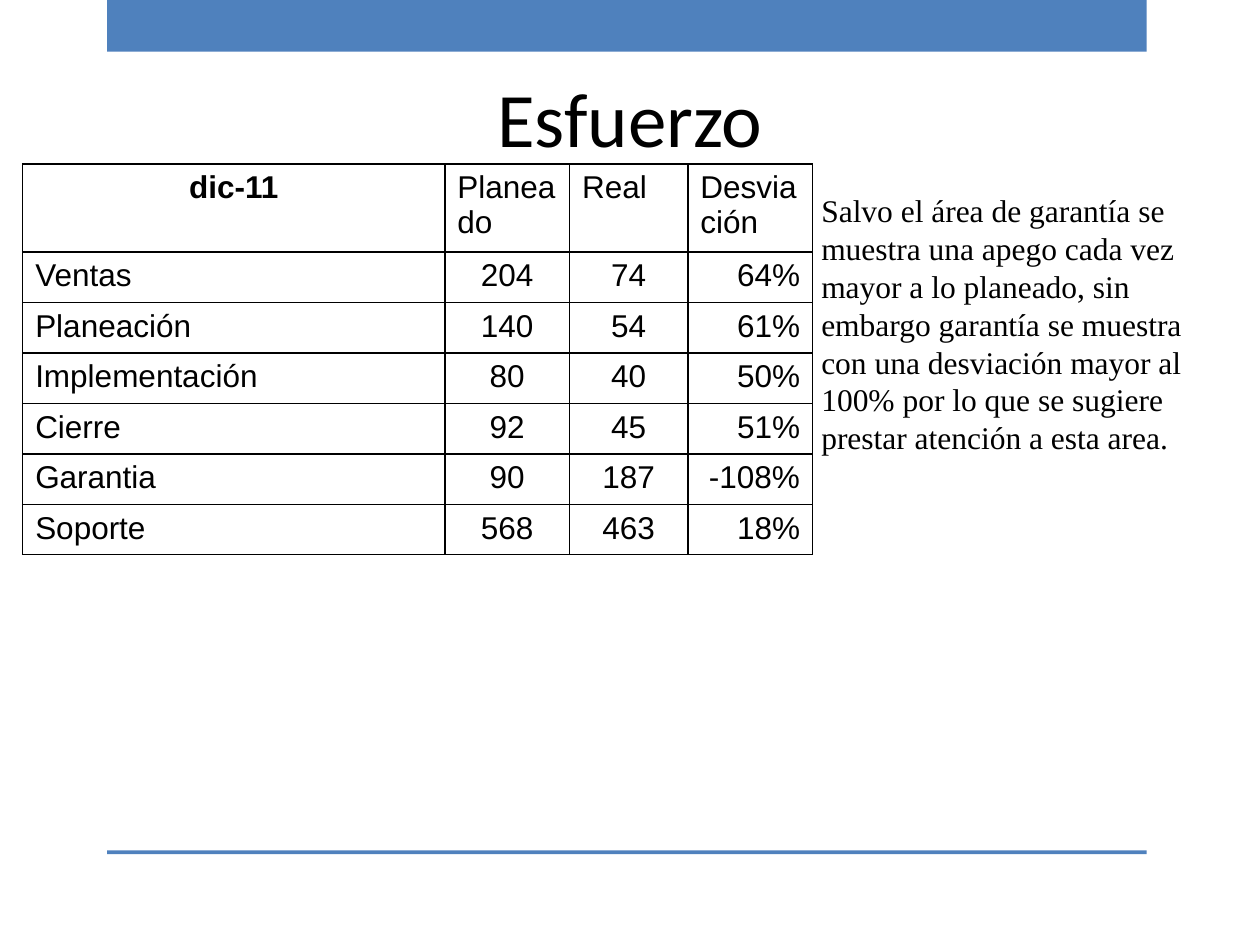
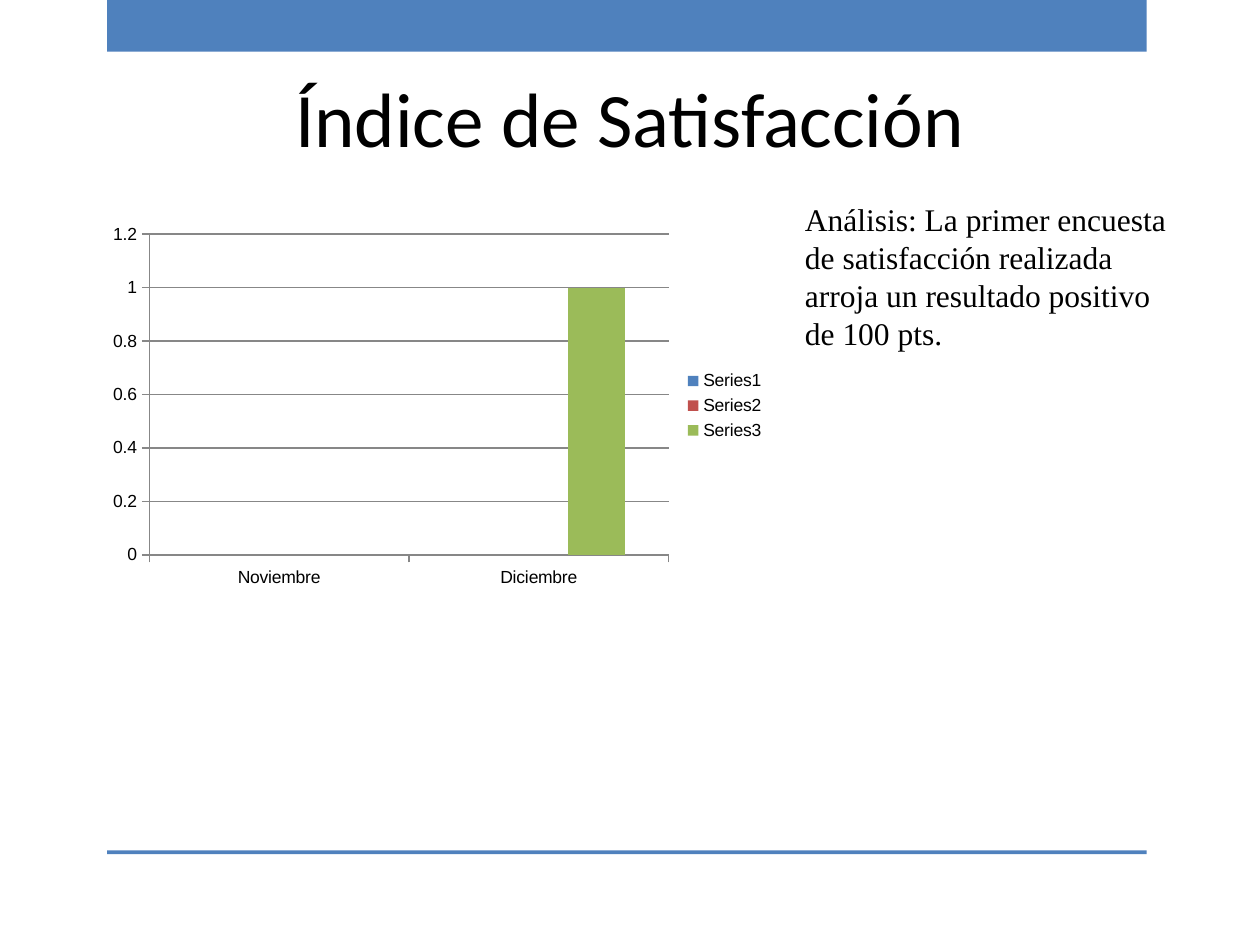
import pptx
import pptx.chart.data
import pptx.dml.color
import pptx.enum.chart
import pptx.enum.shapes
import pptx.enum.text
import pptx.oxml
import pptx.util
from lxml import etree
from typing import Any, NamedTuple

COLS, ROWS = 100, 75
BLUE, RED, GREEN = "4F81BD", "C0504D", "9BBB59"
BLACK, GRAY = "000000", "878787"
HEAD, BODY, DATA = "Calibri", "Times New Roman", "Arial"
ALIGN = pptx.enum.text.PP_ALIGN
LEFT, MID, RIGHT = ALIGN.LEFT, ALIGN.CENTER, ALIGN.RIGHT

deck = pptx.Presentation()
deck.slide_width = pptx.util.Inches(10)
deck.slide_height = pptx.util.Inches(7.5)


class Box(NamedTuple):
    col: float
    row: float
    wide: float
    high: float


class Bar(NamedTuple):
    name: str
    vals: tuple
    tint: str


BANDS = (Box(8.5, 0, 82.5, 4.1), Box(8.5, 67.5, 82.5, 0.3))
TITLE = Box(5, 3, 90, 12.5)

GRID = Box(1.8, 13, 62.7, 29.5)
WIDTHS = (33.5, 9.9, 9.4, 9.9)
TOP, STEP = 6.6, 3.8
TABLE = (
    ("dic-11", "Planeado", "Real", "Desviación"),
    ("Ventas", "204", "74", "64%"),
    ("Planeación", "140", "54", "61%"),
    ("Implementación", "80", "40", "50%"),
    ("Cierre", "92", "45", "51%"),
    ("Garantia", "90", "187", "-108%"),
    ("Soporte", "568", "463", "18%"),
)
ALIGNS = (LEFT, MID, MID, RIGHT)

MONTHS = ("Noviembre", "Diciembre")
BARS = (
    Bar("Series1", (None, None), BLUE),
    Bar("Series2", (None, None), RED),
    Bar("Series3", (None, 1), GREEN),
)


def across(cols: float) -> int:
    return round(deck.slide_width * cols / COLS)


def down(rows: float) -> int:
    return round(deck.slide_height * rows / ROWS)


def place(box: Box) -> tuple:
    return across(box.col), down(box.row), across(box.wide), down(box.high)


def color(code: str) -> pptx.dml.color.RGBColor:
    return pptx.dml.color.RGBColor.from_string(code)


def paint(fill: Any, code: str) -> None:
    fill.solid()
    fill.fore_color.rgb = color(code)


def style(font: Any, face: str, size: float, bold: bool = False) -> None:
    font.name, font.size, font.bold = face, pptx.util.Pt(size), bold
    font.color.rgb = color(BLACK)


def write(frame: Any, text: str, face: str = BODY, size: float = 18,
          bold: bool = False, align: Any = LEFT) -> None:
    frame.word_wrap = True
    para = frame.paragraphs[0]
    para.alignment = align
    run = para.add_run()
    run.text = text
    style(run.font, face, size, bold)


def start(title: str) -> Any:
    slide = deck.slides.add_slide(deck.slide_layouts[5])
    for band in BANDS:
        shape = slide.shapes.add_shape(
            pptx.enum.shapes.MSO_SHAPE.RECTANGLE, *place(band))
        shape.shadow.inherit = False
        paint(shape.fill, BLUE)
        shape.line.fill.background()
    head = slide.shapes.title
    head.left, head.top, head.width, head.height = place(TITLE)
    head.text_frame.vertical_anchor = pptx.enum.text.MSO_ANCHOR.MIDDLE
    write(head.text_frame, title, face=HEAD, size=44, align=MID)
    return slide


def note(slide: Any, box: Box, text: str) -> None:
    write(slide.shapes.add_textbox(*place(box)).text_frame, text)


def edge(cell: Any) -> None:
    props = cell._tc.get_or_add_tcPr()
    for spot, side in enumerate(("lnL", "lnR", "lnT", "lnB")):
        line = etree.Element(pptx.oxml.ns.qn(f"a:{side}"), w="12700")
        fill = etree.SubElement(line, pptx.oxml.ns.qn("a:solidFill"))
        etree.SubElement(fill, pptx.oxml.ns.qn("a:srgbClr"), val=BLACK)
        props.insert(spot, line)


def tabulate(slide: Any) -> None:
    table = slide.shapes.add_table(
        len(TABLE), len(WIDTHS), *place(GRID)).table
    table.first_row = table.horz_banding = False
    for col, wide in zip(table.columns, WIDTHS):
        col.width = across(wide)
    for r, line in enumerate(TABLE):
        table.rows[r].height = down(STEP if r else TOP)
        for c, text in enumerate(line):
            cell = table.cell(r, c)
            first = r == 0 and c == 0
            align = ALIGNS[c] if r else MID if first else LEFT
            cell.fill.background()
            edge(cell)
            write(cell.text_frame, text, face=DATA, bold=first, align=align)


def rule(line: Any) -> None:
    line.color.rgb = color(GRAY)
    line.width = pptx.util.Pt(0.75)


def plot(slide: Any, box: Box) -> None:
    kinds = pptx.enum.chart
    data = pptx.chart.data.CategoryChartData()
    data.categories = MONTHS
    for bar in BARS:
        data.add_series(bar.name, bar.vals)
    chart = slide.shapes.add_chart(
        kinds.XL_CHART_TYPE.COLUMN_CLUSTERED, *place(box), data).chart
    style(chart.font, DATA, 10)
    chart.has_title = False
    chart.has_legend = True
    chart.legend.position = kinds.XL_LEGEND_POSITION.RIGHT
    chart.legend.include_in_layout = False
    for axis in (chart.category_axis, chart.value_axis):
        axis.major_tick_mark = kinds.XL_TICK_MARK.OUTSIDE
        axis.minor_tick_mark = kinds.XL_TICK_MARK.NONE
        rule(axis.format.line)
    rule(chart.value_axis.major_gridlines.format.line)
    group = chart.plots[0]
    group.gap_width = 150
    group.vary_by_categories = False
    for drawn, bar in zip(group.series, BARS):
        paint(drawn.format.fill, bar.tint)


def main() -> None:
    effort = start("Esfuerzo")
    note(effort, Box(64.2, 14.7, 33.6, 19),
         "Salvo el área de garantía se muestra una apego cada vez mayor a lo "
         "planeado, sin embargo garantía se muestra con una desviación mayor "
         "al 100% por lo que se sugiere prestar atención a esta area.")
    tabulate(effort)

    index = start("Índice de Satisfacción")
    note(index, Box(62.9, 15.4, 32.1, 25),
         "Análisis: La primer encuesta de satisfacción realizada arroja un "
         "resultado positivo de 100 pts.")
    plot(index, Box(7.9, 17.2, 53.8, 30))
    deck.save("out.pptx")


if __name__ == "__main__":
    main()
